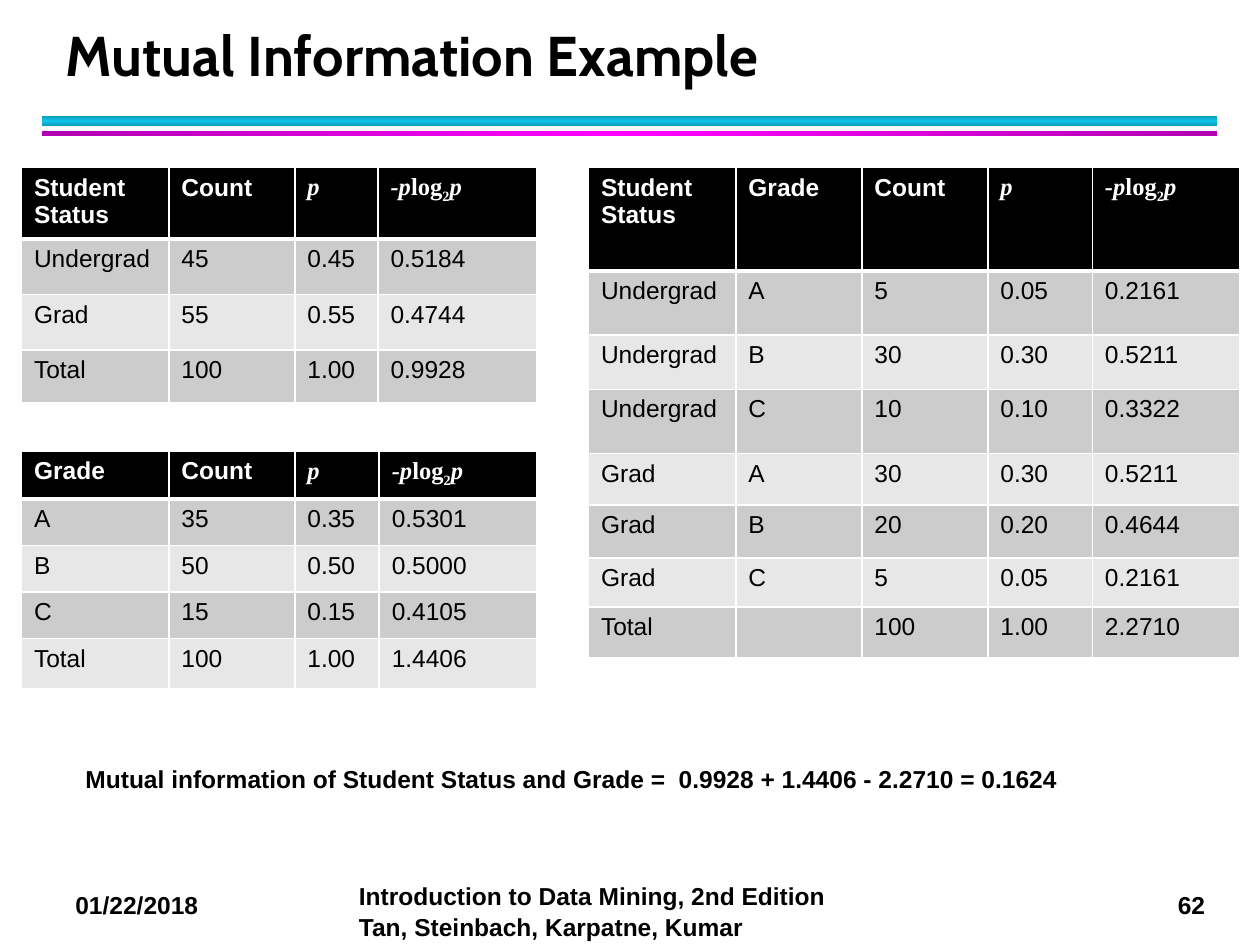
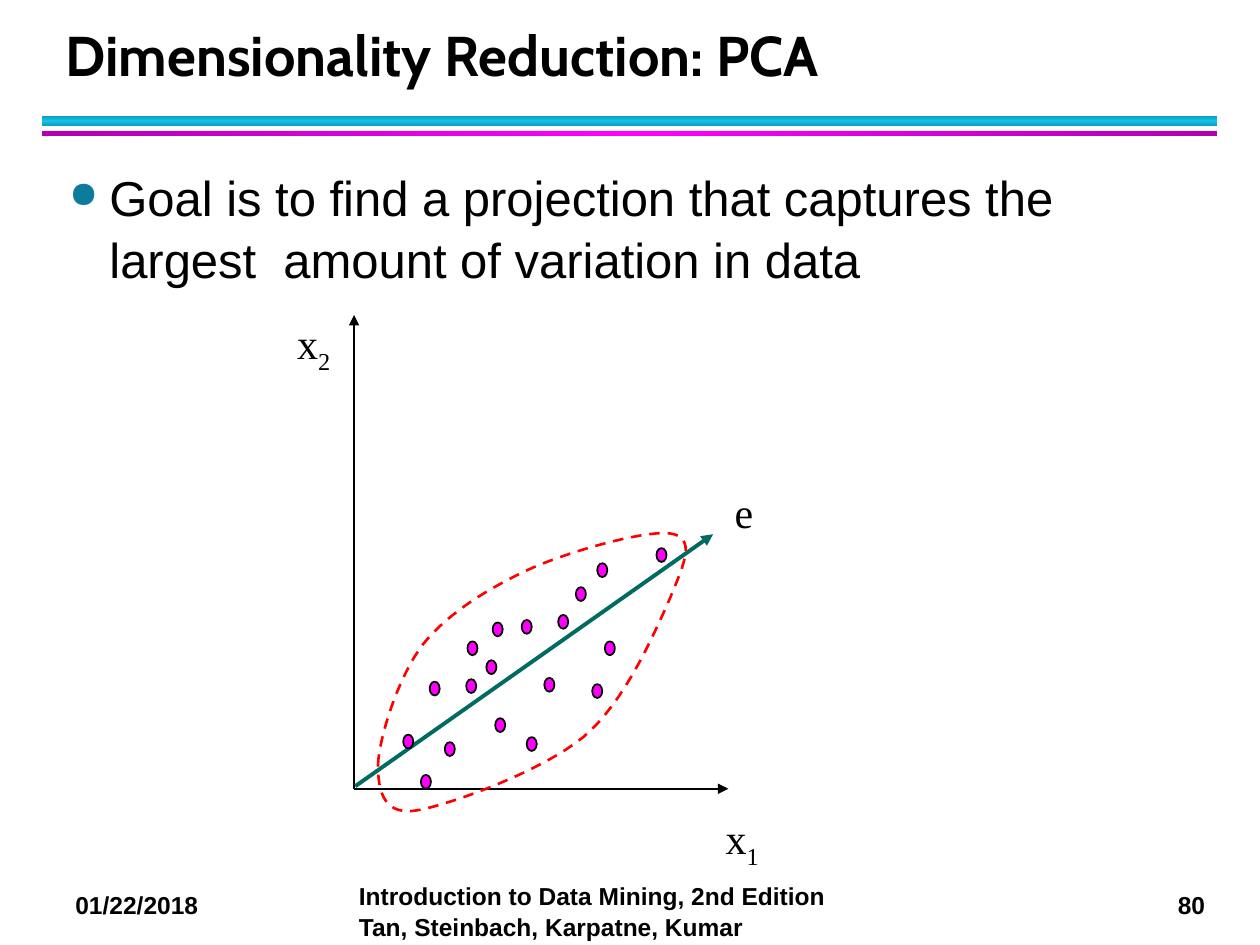
import copy
import dataclasses
import typing

import pptx
import pptx.dml.color
import pptx.enum.dml
import pptx.enum.shapes
import pptx.enum.text
import pptx.oxml
import pptx.oxml.ns
import pptx.slide
import pptx.util
from lxml import etree

Inches = pptx.util.Inches
Pt = pptx.util.Pt
Align = pptx.enum.text.PP_ALIGN
Anchor = pptx.enum.text.MSO_ANCHOR
Shape = pptx.enum.shapes.MSO_SHAPE
Point = tuple[float, float]


@dataclasses.dataclass(frozen=True)
class Theme:
    black: str = "000000"
    white: str = "FFFFFF"
    row_fills: tuple[str, str] = ("CCCCCC", "E7E7E7")
    blue_band: tuple[str, str] = ("0E9BBA", "12C2E9")
    magenta_band: tuple[str, str] = ("B200B2", "FF00FF")
    bullet: str = "0C7B9C"
    magenta: str = "FF00FF"
    teal: str = "006B61"
    red: str = "FF0000"
    sans: str = "Arial"
    serif: str = "Times New Roman"
    heading: str = "Cabin"
    title_size: float = 32
    body_size: float = 28
    label_size: float = 24
    small_size: float = 14
    spacing: float = 1.06


THEME = Theme()


@dataclasses.dataclass(frozen=True)
class Span:
    text: str
    italic: bool = False
    subscript: bool = False


@dataclasses.dataclass(frozen=True)
class Band:
    top: float
    height: float
    colors: tuple[str, str]
    angle: float


@dataclasses.dataclass(frozen=True)
class EntropyTable:
    left: float
    top: float
    widths: list[float]
    heights: list[float]
    keys: list[str]
    rows: list[str]


@dataclasses.dataclass(frozen=True)
class Arrow:
    start: Point
    end: Point
    color: str
    width: float


@dataclasses.dataclass(frozen=True)
class AxisLabel:
    left: float
    top: float
    width: float
    spans: list[Span]


Text = typing.Union[str, list[Span]]

BANDS = [
    Band(0.92, 0.08, THEME.blue_band, 90),
    Band(1.04, 0.04, THEME.magenta_band, 0),
]
P = [Span("p", italic=True)]
ENTROPY = [Span("-p", italic=True), Span("log"), Span("2", subscript=True), Span("p", italic=True)]

TABLES = [
    EntropyTable(0.17, 1.33, [1.17, 1, 0.66, 1.26], [0.44, 0.44, 0.44, 0.42], ["Student Status"],
                 ["Undergrad|45|0.45|0.5184", "Grad|55|0.55|0.4744", "Total|100|1.00|0.9928"]),
    EntropyTable(0.17, 3.58, [1.17, 1, 0.67, 1.25], [0.38, 0.37, 0.37, 0.37, 0.4], ["Grade"],
                 ["A|35|0.35|0.5301", "B|50|0.50|0.5000", "C|15|0.15|0.4105",
                  "Total|100|1.00|1.4406"]),
    EntropyTable(4.67, 1.33, [1.17, 1, 1, 0.83, 1.17],
                 [0.82, 0.51, 0.43, 0.51, 0.41, 0.42, 0.39, 0.39], ["Student Status", "Grade"],
                 ["Undergrad|A|5|0.05|0.2161", "Undergrad|B|30|0.30|0.5211",
                  "Undergrad|C|10|0.10|0.3322", "Grad|A|30|0.30|0.5211",
                  "Grad|B|20|0.20|0.4644", "Grad|C|5|0.05|0.2161", "Total||100|1.00|2.2710"]),
]

ARROWS = [
    Arrow((2.81, 6.26), (2.81, 2.5), THEME.black, 1),
    Arrow((2.81, 6.26), (5.78, 6.26), THEME.black, 1),
    Arrow((2.82, 6.24), (5.66, 4.24), THEME.teal, 2.25),
]
DOT_SIZE = (0.08, 0.11)
DOTS = [
    (3.41, 5.41), (3.71, 5.09), (3.2, 5.83), (3.86, 5.24), (3.7, 5.39), (4.32, 5.38),
    (4.18, 5.85), (3.93, 5.7), (4.14, 4.92), (4.8, 5.09), (5.21, 4.35), (3.53, 5.89),
    (4.43, 4.88), (4.74, 4.47), (3.91, 4.94), (4.57, 4.66), (4.7, 5.43), (3.34, 6.15),
]
CLOUD_START = (3, 6.07)
CLOUD_CURVES = [
    ((3.01, 5.85), (3.16, 5.37), (3.36, 5.11)),
    ((3.57, 4.85), (3.91, 4.65), (4.24, 4.5)),
    ((4.57, 4.36), (5.18, 4.19), (5.35, 4.24)),
    ((5.53, 4.29), (5.41, 4.52), (5.3, 4.79)),
    ((5.18, 5.05), (4.96, 5.57), (4.63, 5.85)),
    ((4.3, 6.12), (3.59, 6.38), (3.32, 6.43)),
    ((3.05, 6.48), (3, 6.29), (3, 6.07)),
]
LABELS = [
    AxisLabel(2.25, 2.5, 0.48, [Span("x"), Span("2", subscript=True)]),
    AxisLabel(5.65, 6.43, 0.48, [Span("x"), Span("1", subscript=True)]),
    AxisLabel(5.73, 3.81, 0.35, [Span("e")]),
]


def rgb(color: str) -> pptx.dml.color.RGBColor:
    return pptx.dml.color.RGBColor.from_string(color)


def add_xml(parent, tag: str, **attributes: str):
    child = etree.SubElement(parent, pptx.oxml.ns.qn(tag))
    for name, value in attributes.items():
        child.set(name, value)
    return child


def write(frame, text: Text, *, size: float = THEME.small_size, font: str = THEME.sans,
          color: str = THEME.black, bold: bool = False, align=Align.LEFT,
          spacing: typing.Union[float, pptx.util.Length, None] = None):
    """Fill the first paragraph of a text frame and return it."""
    para = frame.paragraphs[0]
    para.alignment = align
    if spacing is not None:
        para.line_spacing = spacing
    for span in [Span(text)] if isinstance(text, str) else text:
        for index, line in enumerate(span.text.split("\n")):
            if index:
                para.add_line_break()
            run = para.add_run()
            run.text = line
            run.font.size, run.font.name = Pt(size), font
            run.font.bold, run.font.italic = bold, span.italic
            run.font.color.rgb = rgb(color)
            if span.subscript:
                run.font._element.set("baseline", "-25000")
    return para


def add_text(shapes, left: float, top: float, width: float, height: float, text: Text, *,
             wrap: bool = True, anchor=Anchor.TOP, **style):
    box = shapes.add_textbox(Inches(left), Inches(top), Inches(width), Inches(height))
    box.text_frame.word_wrap = wrap
    box.text_frame.vertical_anchor = anchor
    return write(box.text_frame, text, **style)


def add_band(page: pptx.slide.Slide, band: Band) -> None:
    shape = page.shapes.add_shape(Shape.RECTANGLE, Inches(0.33), Inches(band.top),
                                  Inches(9.33), Inches(band.height))
    shape.shadow.inherit = False
    shape.line.fill.background()
    shape.fill.gradient()
    shape.fill.gradient_angle = band.angle
    stops = shape.element.find(".//" + pptx.oxml.ns.qn("a:gsLst"))
    stops.append(copy.deepcopy(stops[0]))
    edge, middle = band.colors
    for stop, position, color in zip(shape.fill.gradient_stops, (0, 0.5, 1), (edge, middle, edge)):
        stop.position = position
        stop.color.rgb = rgb(color)


def add_page(deck, title: str, number: int) -> pptx.slide.Slide:
    """Add a slide with the shared title, bands and footer."""
    page = deck.slides.add_slide(deck.slide_layouts[5])
    for band in BANDS:
        add_band(page, band)
    footer = {"bold": True, "spacing": THEME.spacing}
    add_text(page.shapes, 0.5, 7, 1.33, 0.34, "01/22/2018", **footer)
    add_text(page.shapes, 9.25, 7, 0.44, 0.34, str(number), wrap=False, **footer)
    add_text(page.shapes, 2.75, 6.93, 4.08, 0.57,
             "Introduction to Data Mining, 2nd Edition\nTan, Steinbach, Karpatne, Kumar", **footer)
    heading = page.shapes.title
    heading.left, heading.top = Inches(0.42), Inches(0.17)
    heading.width, heading.height = Inches(9.06), Inches(0.58)
    heading.text_frame.auto_size = pptx.enum.text.MSO_AUTO_SIZE.NONE
    heading.text_frame.vertical_anchor = Anchor.BOTTOM
    write(heading.text_frame, title, size=THEME.title_size, font=THEME.heading, bold=True,
          spacing=Pt(36))
    return page


def format_cell(cell, fill: str, bottom_width: float) -> None:
    properties = cell._tc.get_or_add_tcPr()
    for side, width in (("L", 1), ("R", 1), ("T", 1), ("B", bottom_width)):
        line = add_xml(properties, f"a:ln{side}", w=str(Pt(width)))
        add_xml(add_xml(line, "a:solidFill"), "a:srgbClr", val=THEME.white)
    cell.fill.solid()
    cell.fill.fore_color.rgb = rgb(fill)


def add_entropy_table(page: pptx.slide.Slide, data: EntropyTable) -> None:
    header = [*data.keys, "Count", P, ENTROPY]
    grid = [header] + [row.split("|") for row in data.rows]
    table = page.shapes.add_table(len(grid), len(header), Inches(data.left), Inches(data.top),
                                  Inches(sum(data.widths)), Inches(sum(data.heights))).table
    for column, width in zip(table.columns, data.widths):
        column.width = Inches(width)
    for r, (values, height) in enumerate(zip(grid, data.heights)):
        table.rows[r].height = Inches(height)
        for c, value in enumerate(values):
            cell = table.cell(r, c)
            is_header = r == 0
            format_cell(cell, THEME.black if is_header else THEME.row_fills[(r - 1) % 2],
                        3 if is_header else 1)
            write(cell.text_frame, value, bold=is_header,
                  color=THEME.white if is_header else THEME.black,
                  font=THEME.sans if isinstance(value, str) else THEME.serif)


def add_arrow(shapes, arrow: Arrow) -> None:
    line = shapes.add_connector(pptx.enum.shapes.MSO_CONNECTOR.STRAIGHT,
                                *map(Inches, arrow.start + arrow.end))
    line.line.color.rgb = rgb(arrow.color)
    line.line.width = Pt(arrow.width)
    add_xml(line.line._get_or_add_ln(), "a:tailEnd", type="triangle")
    add_xml(line.element.spPr, "a:effectLst")


def add_dot(shapes, place: Point) -> None:
    dot = shapes.add_shape(Shape.OVAL, *map(Inches, place + DOT_SIZE))
    dot.shadow.inherit = False
    dot.fill.solid()
    dot.fill.fore_color.rgb = rgb(THEME.magenta)
    dot.line.color.rgb = rgb(THEME.black)
    dot.line.width = Pt(1)


def curve_points(start: Point, curves, steps: int = 16) -> list[Point]:
    """Sample a chain of cubic Bézier curves."""
    points = []
    for first, second, end in curves:
        for step in range(1, steps + 1):
            t = step / steps
            weights = ((1 - t) ** 3, 3 * t * (1 - t) ** 2, 3 * t * t * (1 - t), t ** 3)
            points.append(tuple(sum(w * v for w, v in zip(weights, axis))
                                for axis in zip(start, first, second, end)))
        start = end
    return points


def add_cloud_outline(shapes) -> None:
    builder = shapes.build_freeform(*map(Inches, CLOUD_START))
    builder.add_line_segments([(Inches(x), Inches(y))
                               for x, y in curve_points(CLOUD_START, CLOUD_CURVES)])
    outline = builder.convert_to_shape()
    outline.shadow.inherit = False
    outline.fill.background()
    outline.line.color.rgb = rgb(THEME.red)
    outline.line.width = Pt(1.5)
    outline.line.dash_style = pptx.enum.dml.MSO_LINE.DASH


def add_goal(page: pptx.slide.Slide) -> None:
    para = add_text(page.shapes, 0.45, 1.25, 9.1, 1.1,
                    "Goal is to find a projection that captures the largest  amount of "
                    "variation in data", size=THEME.body_size, spacing=THEME.spacing)
    para.space_after = Pt(4)
    properties = para._p.get_or_add_pPr()
    properties.set("marL", str(Inches(0.32)))
    properties.set("indent", str(Inches(-0.32)))
    add_xml(add_xml(properties, "a:buClr"), "a:srgbClr", val=THEME.bullet)
    add_xml(properties, "a:buSzPct", val="75000")
    add_xml(properties, "a:buChar", char="●")


def build_mutual_information(deck) -> None:
    page = add_page(deck, "Mutual Information Example", 62)
    for data in TABLES:
        add_entropy_table(page, data)
    add_text(page.shapes, 0.58, 6, 8.75, 0.34,
             "Mutual information of Student Status and Grade =  "
             "0.9928 + 1.4406 - 2.2710 = 0.1624", bold=True, spacing=THEME.spacing)


def build_pca(deck) -> None:
    page = add_page(deck, "Dimensionality Reduction: PCA", 80)
    add_goal(page)
    plot = page.shapes.add_group_shape().shapes
    for arrow in ARROWS:
        add_arrow(plot, arrow)
    for place in DOTS:
        add_dot(plot, place)
    add_cloud_outline(plot)
    for label in LABELS:
        add_text(plot, label.left, label.top, label.width, 0.5, label.spans, wrap=False,
                 anchor=Anchor.MIDDLE, size=THEME.label_size, font=THEME.serif,
                 align=Align.CENTER)


def main() -> None:
    deck = pptx.Presentation()
    deck.slide_width, deck.slide_height = Inches(10), Inches(7.5)
    build_mutual_information(deck)
    build_pca(deck)
    deck.save("out.pptx")


if __name__ == "__main__":
    main()
